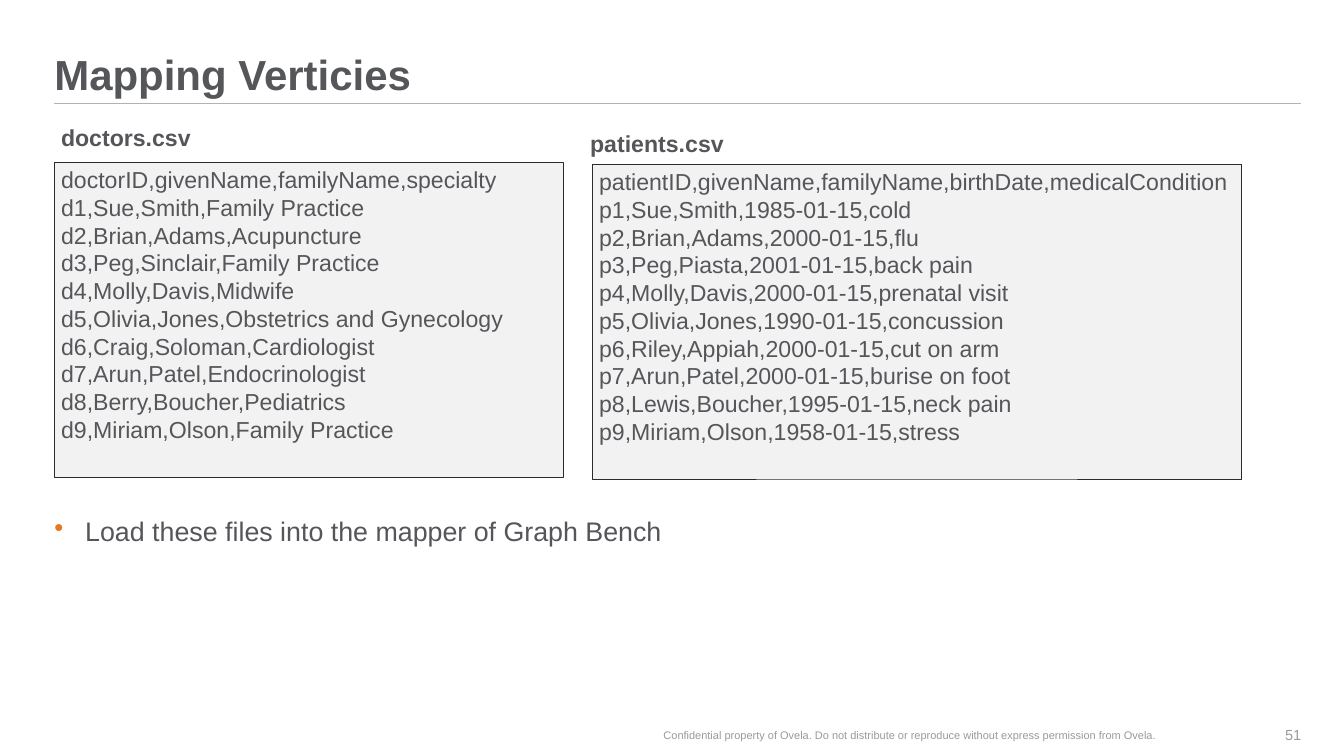
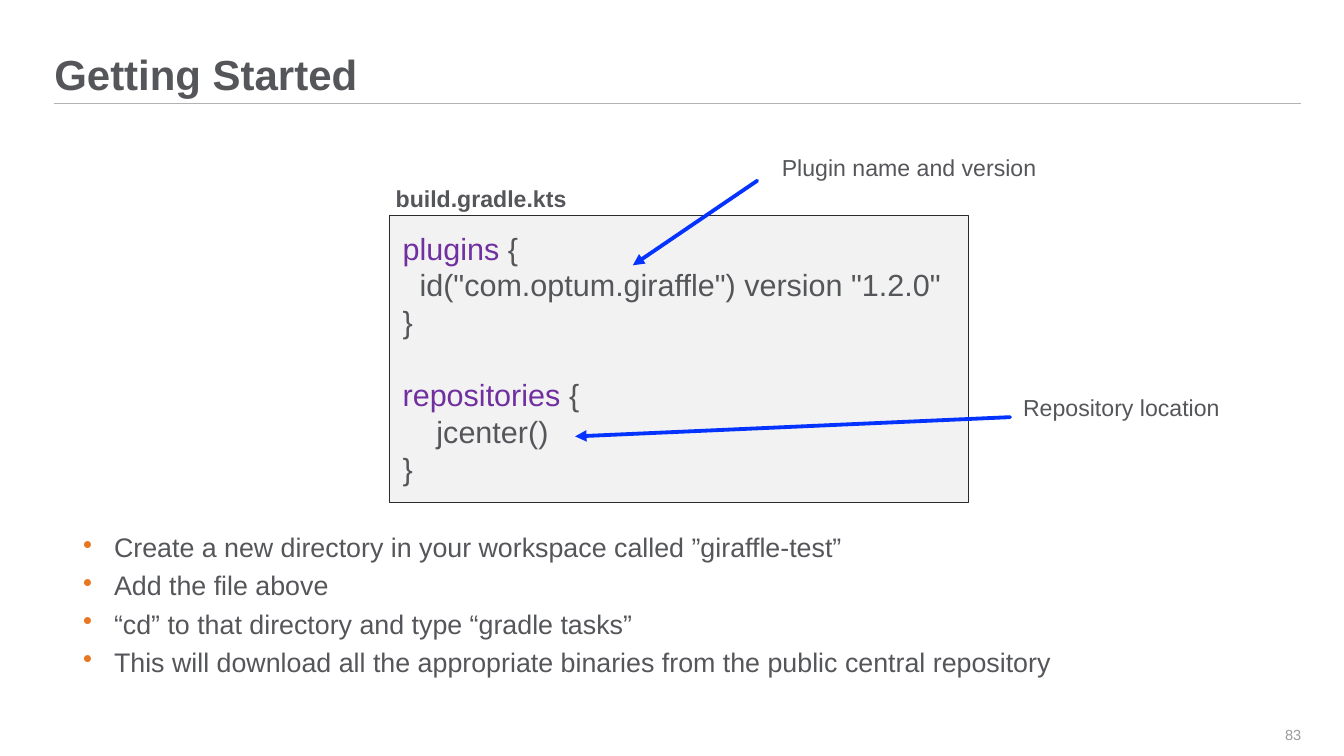
from dataclasses import dataclass

import lxml.etree
import pptx
import pptx.dml.color
import pptx.enum.shapes
import pptx.enum.text
import pptx.oxml.ns
import pptx.util

PX = 9144
FONT = "Arial"
INK = "55565A"
GREY = "999A9B"
RULE = "B1B3B3"
EDGE = "2A2B2D"
PANEL = "F2F2F2"
ORANGE = "E87722"
PURPLE = "7030A0"
BLUE = "0432FF"
CODE_GAP = 38.5

ALIGN = pptx.enum.text.PP_ALIGN
ANCHOR = pptx.enum.text.MSO_ANCHOR
RECT = pptx.enum.shapes.MSO_SHAPE.RECTANGLE
STRAIGHT = pptx.enum.shapes.MSO_CONNECTOR.STRAIGHT

DOCTORS = """doctorID,givenName,familyName,specialty
d1,Sue,Smith,Family Practice
d2,Brian,Adams,Acupuncture
d3,Peg,Sinclair,Family Practice
d4,Molly,Davis,Midwife
d5,Olivia,Jones,Obstetrics and Gynecology
d6,Craig,Soloman,Cardiologist
d7,Arun,Patel,Endocrinologist
d8,Berry,Boucher,Pediatrics
d9,Miriam,Olson,Family Practice"""

PATIENTS = """patientID,givenName,familyName,birthDate,medicalCondition
p1,Sue,Smith,1985-01-15,cold
p2,Brian,Adams,2000-01-15,flu
p3,Peg,Piasta,2001-01-15,back pain
p4,Molly,Davis,2000-01-15,prenatal visit
p5,Olivia,Jones,1990-01-15,concussion
p6,Riley,Appiah,2000-01-15,cut on arm
p7,Arun,Patel,2000-01-15,burise on foot
p8,Lewis,Boucher,1995-01-15,neck pain
p9,Miriam,Olson,1958-01-15,stress"""

PLUGINS = """plugins {
  id("com.optum.giraffle") version "1.2.0"
}"""

REPOS = """repositories {
    jcenter()
}"""

STEPS = """Create a new directory in your workspace called ”giraffle-test”
Add the file above
“cd” to that directory and type “gradle tasks”
This will download all the appropriate binaries from the public central repository"""


@dataclass(frozen=True)
class Area:
    left: int
    top: int
    width: int
    height: int

    def emu(self) -> list[int]:
        return [n * PX for n in (self.left, self.top, self.width, self.height)]


@dataclass(frozen=True)
class Style:
    size: float = 24.2
    color: str = INK
    bold: bool = False
    align: ALIGN = ALIGN.LEFT
    leading: float | None = None
    after: float | None = None
    bullet: bool = False


@dataclass(frozen=True)
class Label:
    area: Area
    text: str
    style: Style = Style()
    inset: tuple[int, int] = (10, 5)
    anchor: ANCHOR = ANCHOR.TOP
    wrap: bool = True
    panel: bool = False


@dataclass(frozen=True)
class Arrow:
    start: tuple[int, int]
    end: tuple[int, int]


HEAD = Style(44, bold=True, leading=0.9)
NAME = Style(bold=True)
LIST = Style(28.1, leading=0.95, after=8, bullet=True)
CODE = Style(32)
NOTE = Style(11.5, GREY, align=ALIGN.CENTER)
PAGE = Style(15.3, GREY, align=ALIGN.RIGHT)


def rgb(color: str) -> pptx.dml.color.RGBColor:
    return pptx.dml.color.RGBColor.from_string(color)


def add_xml(parent, tag: str, **attrs: str):
    return lxml.etree.SubElement(parent, pptx.oxml.ns.qn(tag), attrs)


def dress(para, style: Style) -> None:
    if style.bullet:
        props = para._p.get_or_add_pPr()
        props.set("marL", str(45 * PX))
        props.set("indent", str(-45 * PX))
        add_xml(add_xml(props, "a:buClr"), "a:srgbClr", val=ORANGE)
        add_xml(props, "a:buChar", char="•")
    para.alignment = style.align
    if style.leading:
        para.line_spacing = style.leading
    if style.after:
        para.space_after = pptx.util.Pt(style.after)
    para.font.name = FONT
    para.font.size = pptx.util.Pt(style.size)
    para.font.bold = style.bold
    para.font.color.rgb = rgb(style.color)


def write(shape, label: Label) -> None:
    frame = shape.text_frame
    frame.auto_size = pptx.enum.text.MSO_AUTO_SIZE.NONE
    frame.word_wrap = label.wrap
    frame.vertical_anchor = label.anchor
    side, edge = (n * PX for n in label.inset)
    frame.margin_left = frame.margin_right = side
    frame.margin_top = frame.margin_bottom = edge
    frame.text = label.text
    for para in frame.paragraphs:
        dress(para, label.style)


def add_label(slide, label: Label):
    if label.panel:
        shape = slide.shapes.add_shape(RECT, *label.area.emu())
        shape.shadow.inherit = False
        shape.fill.solid()
        shape.fill.fore_color.rgb = rgb(PANEL)
        shape.line.color.rgb = rgb(EDGE)
        shape.line.width = pptx.util.Pt(0.75)
    else:
        shape = slide.shapes.add_textbox(*label.area.emu())
    write(shape, label)
    return shape


def add_line(slide, route: Arrow, color: str, width: float):
    line = slide.shapes.add_connector(
        STRAIGHT, *(n * PX for n in route.start + route.end))
    line.line.color.rgb = rgb(color)
    line.line.width = pptx.util.Pt(width)
    add_xml(line._element.spPr, "a:effectLst")
    return line


def add_arrow(slide, arrow: Arrow) -> None:
    outline = add_line(slide, arrow, BLUE, 4).line._get_or_add_ln()
    outline.set("cap", "rnd")
    add_xml(outline, "a:tailEnd", type="triangle")


def add_code(slide, area: Area, blocks: list[str]) -> None:
    label = Label(area, "\n".join(blocks), CODE, (20, 20), wrap=False, panel=True)
    for para in add_label(slide, label).text_frame.paragraphs:
        if not para.text.endswith(" {"):
            continue
        word = para.text.removesuffix(" {")
        para.runs[0].text = word
        para.runs[0].font.color.rgb = rgb(PURPLE)
        para.add_run().text = " {"
        if word == "repositories":
            para.space_before = pptx.util.Pt(CODE_GAP)


def add_slide(deck, title: str, page: int):
    slide = deck.slides.add_slide(deck.slide_layouts[5])
    area = Area(79, 63, 1815, 82)
    head = slide.shapes.title
    head.left, head.top, head.width, head.height = area.emu()
    write(head, Label(area, title, HEAD, (0, 0), ANCHOR.BOTTOM))
    add_line(slide, Arrow((79, 150), (1894, 150)), RULE, 1)
    add_label(slide, Label(Area(1807, 1040, 87, 59), str(page), PAGE,
                           (0, 0), ANCHOR.MIDDLE))
    return slide


def add_files(deck) -> None:
    slide = add_slide(deck, "Mapping Verticies", 51)
    labels = [
        Label(Area(79, 752, 1815, 194),
              "Load these files into the mapper of Graph Bench", LIST, (0, 0)),
        Label(Area(849, 1040, 950, 59),
              "Confidential property of Ovela. Do not distribute or reproduce "
              "without express permission from Ovela.",
              NOTE, (0, 0), ANCHOR.MIDDLE),
        Label(Area(79, 236, 741, 458), DOCTORS, panel=True),
        Label(Area(862, 239, 944, 458), PATIENTS, wrap=False, panel=True),
        Label(Area(79, 175, 339, 51), "doctors.csv", NAME),
        Label(Area(849, 183, 339, 51), "patients.csv", NAME),
    ]
    for label in labels:
        add_label(slide, label)


def add_start(deck) -> None:
    slide = add_slide(deck, "Getting Started", 83)
    add_code(slide, Area(566, 314, 843, 417), [PLUGINS, REPOS])
    labels = [
        Label(Area(121, 776, 1590, 248), STEPS, LIST, (0, 0)),
        Label(Area(566, 263, 271, 51), "build.gradle.kts", NAME, wrap=False),
        Label(Area(1128, 218, 394, 51), "Plugin name and version", wrap=False),
        Label(Area(1479, 567, 309, 51), "Repository location", wrap=False),
    ]
    for label in labels:
        add_label(slide, label)
    for arrow in (Arrow((1102, 263), (921, 386)), Arrow((1470, 607), (837, 635))):
        add_arrow(slide, arrow)


def main() -> None:
    deck = pptx.Presentation()
    deck.slide_width = 1956 * PX
    deck.slide_height = 1100 * PX
    add_files(deck)
    add_start(deck)
    deck.save("out.pptx")


if __name__ == "__main__":
    main()
